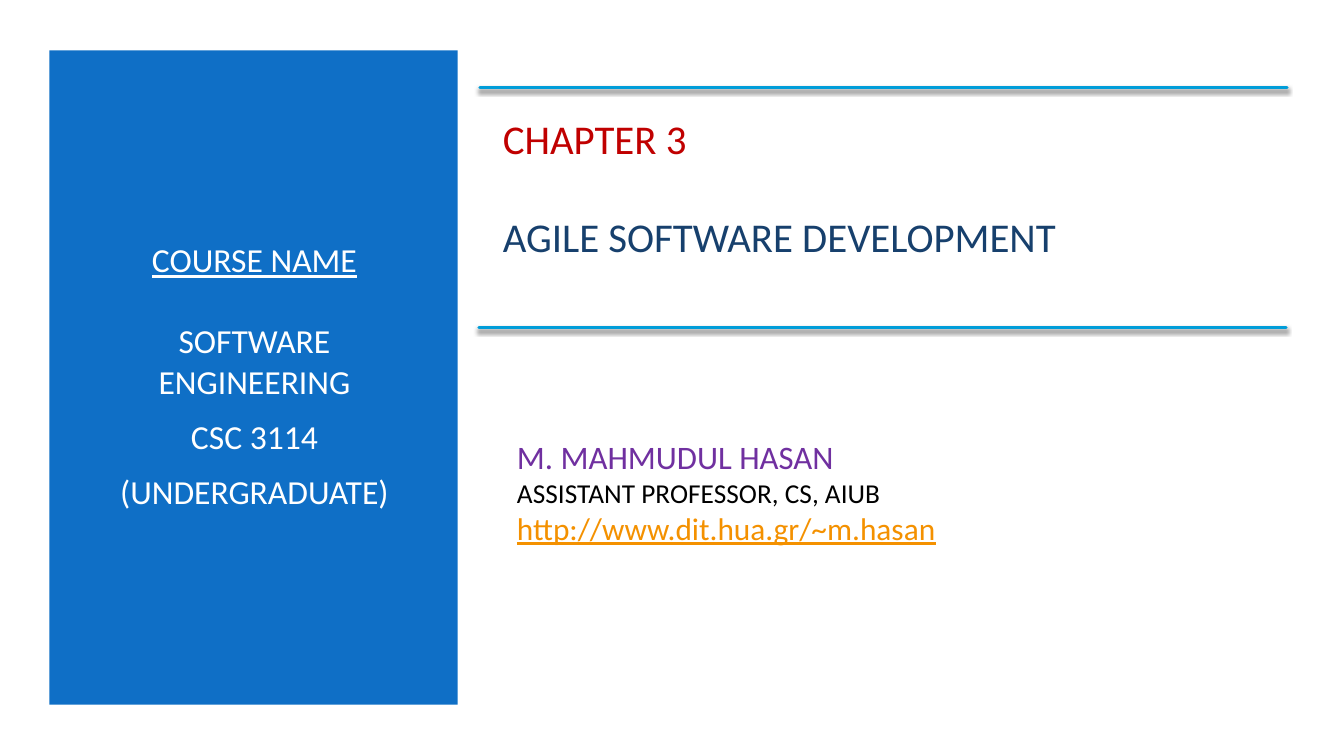
from lxml.etree import SubElement
from pptx import Presentation
from pptx.dml.color import RGBColor
from pptx.enum.shapes import MSO_CONNECTOR, MSO_SHAPE
from pptx.enum.text import MSO_ANCHOR, PP_ALIGN
from pptx.oxml.ns import qn
from pptx.util import Pt


def color(value):
    return RGBColor.from_string(value)


def add_text(slide, left, top, width, height, lines, align):
    box = slide.shapes.add_textbox(Pt(left), Pt(top), Pt(width), Pt(height))
    frame = box.text_frame
    frame.word_wrap = True
    frame.vertical_anchor = MSO_ANCHOR.MIDDLE
    for index, (text, size, shade, underline, before, after) in enumerate(lines):
        para = frame.paragraphs[0] if index == 0 else frame.add_paragraph()
        para.alignment = align
        para.space_before = Pt(before)
        para.space_after = Pt(after)
        span = para.add_run()
        span.text = text
        font = para.font
        font.name = "Calibri"
        font.size = Pt(size)
        font.color.rgb = color(shade)
        font.underline = underline


deck = Presentation()
deck.slide_width = Pt(960)
deck.slide_height = Pt(540)
page = deck.slides.add_slide(deck.slide_layouts[6])

panels = [(0, 0, 960, 540, "FFFFFF"), (35.3, 36, 291.6, 467.3, "0F6FC6")]
for left, top, width, height, shade in panels:
    panel = page.shapes.add_shape(
        MSO_SHAPE.RECTANGLE, Pt(left), Pt(top), Pt(width), Pt(height))
    panel.shadow.inherit = False
    panel.fill.solid()
    panel.fill.fore_color.rgb = color(shade)
    panel.line.fill.background()

add_text(page, 60.5, 79.2, 242.6, 378, [
    ("COURSE NAME", 24, "FFFFFF", True, 0, 29),
    ("SOFTWARE ENGINEERING", 24, "FFFFFF", False, 0, 6),
    ("CSC 3114", 24, "FFFFFF", False, 4.8, 6),
    ("(UNDERGRADUATE)", 24, "FFFFFF", False, 4.8, 6),
], PP_ALIGN.CENTER)

add_text(page, 352.1, 79.2, 565.2, 108.7, [
    ("CHAPTER 3", 29.2, "C00000", False, 0, 35),
    ("AGILE SOFTWARE DEVELOPMENT", 29.2, "17406D", False, 0, 0),
], PP_ALIGN.LEFT)

add_text(page, 362.2, 295.2, 479.5, 112.3, [
    ("M. MAHMUDUL HASAN", 23.4, "7030A0", False, 0, 0),
    ("ASSISTANT PROFESSOR, CS, AIUB", 19.5, "000000", False, 0, 0),
    ("http://www.dit.hua.gr/~m.hasan", 22.4, "F49100", True, 0, 0),
], PP_ALIGN.LEFT)

for left, top in [(342.7, 62.6), (342, 234)]:
    rule = page.shapes.add_connector(
        MSO_CONNECTOR.STRAIGHT, Pt(left), Pt(top), Pt(left + 576.7), Pt(top))
    rule.line.color.rgb = color("009DD9")
    rule.line.width = Pt(2)
    rule.line._ln.set("cap", "rnd")
    effects = SubElement(rule._element.spPr, qn("a:effectLst"))
    shadow = SubElement(effects, qn("a:outerShdw"), blurRad=str(Pt(3)),
                        dist=str(Pt(2)), dir="5400000", rotWithShape="0")
    tint = SubElement(shadow, qn("a:srgbClr"), val="000000")
    SubElement(tint, qn("a:alpha"), val="55000")

deck.save("out.pptx")
